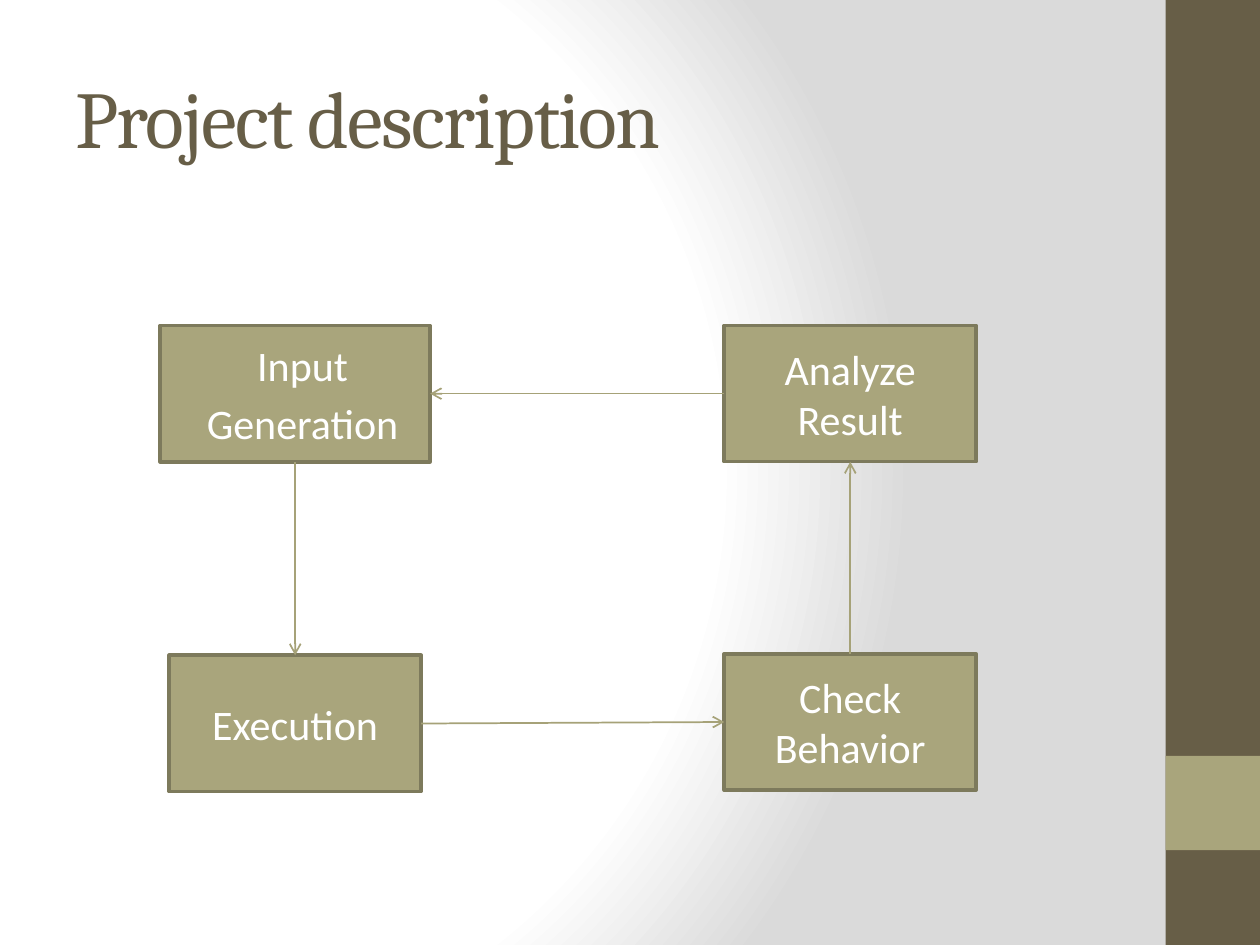
from lxml.etree import SubElement
from pptx import Presentation
from pptx.dml.color import RGBColor
from pptx.enum.shapes import MSO_CONNECTOR, MSO_SHAPE
from pptx.enum.text import MSO_ANCHOR, MSO_AUTO_SIZE, PP_ALIGN
from pptx.oxml import parse_xml
from pptx.oxml.ns import qn
from pptx.util import Cm, Pt

COLORS = {
    "brown": "675E47", "olive": "A9A57C", "border": "7D7A5C",
    "arrow": "A6A278", "white": "FFFFFF", "gray": "DADADA",
}
TOP, LEFT, BOTTOM, RIGHT = range(4)


def color(name):
    return RGBColor.from_string(COLORS[name])


def write(paragraph, text, size, font, color_name):
    run = paragraph.add_run()
    run.text = text
    run.font.size = Pt(size)
    run.font.name = font
    run.font.color.rgb = color(color_name)
    return run


prs = Presentation()
prs.slide_width, prs.slide_height = Cm(25.4), Cm(19.05)
slide = prs.slides.add_slide(prs.slide_layouts[1])
shapes = slide.shapes

# Background: circular gradient from white to gray
slide.background.fill.solid()
plain_fill = slide.element.find(".//" + qn("p:bgPr")).find(qn("a:solidFill"))
stops = "".join(
    f'<a:gs pos="{position * 1000}"><a:srgbClr val="{COLORS[name]}"/></a:gs>'
    for position, name in [(0, "white"), (75, "white"), (100, "gray")]
)
plain_fill.getparent().replace(plain_fill, parse_xml(
    '<a:gradFill xmlns:a="http://schemas.openxmlformats.org/drawingml/2006/main" rotWithShape="1">'
    f'<a:gsLst>{stops}</a:gsLst><a:path path="circle">'
    '<a:fillToRect l="20000" t="50000" r="100000" b="50000"/></a:path></a:gradFill>'
))

# Side band
for top, height, name in [(0, 19.05, "brown"), (15.24, 1.9, "olive")]:
    band = shapes.add_shape(MSO_SHAPE.RECTANGLE, Cm(23.5), Cm(top), Cm(1.9), Cm(height))
    band.shadow.inherit = False
    band.fill.solid()
    band.fill.fore_color.rgb = color(name)
    band.line.fill.background()

# Title
title = shapes.title
title.left, title.top, title.width, title.height = Cm(1.27), Cm(0.76), Cm(21.16), Cm(3.18)
title.text_frame.vertical_anchor = MSO_ANCHOR.MIDDLE
title.text_frame.auto_size = MSO_AUTO_SIZE.NONE
heading = title.text_frame.paragraphs[0]
heading.alignment = PP_ALIGN.LEFT
heading_run = write(heading, "Project description", 46, "Cambria", "brown")
heading_run.font._element.set("spc", "-100")

# Steps of the cycle; the first one is the body placeholder
input_step = slide.placeholders[1]
input_step.left, input_step.top, input_step.width, input_step.height = (
    Cm(3.23), Cm(6.56), Cm(5.44), Cm(2.75))
execution, check, analyze = [
    shapes.add_shape(MSO_SHAPE.RECTANGLE, Cm(left), Cm(top), Cm(5.08), Cm(2.75))
    for left, top in [(3.41, 13.21), (14.6, 13.18), (14.6, 6.56)]
]
for step in (execution, check, analyze):
    step.shadow.inherit = False

steps = [input_step, execution, check, analyze]
labels = [["Input", "Generation"], ["Execution"], ["Check Behavior"], ["Analyze Result"]]
for step, lines in zip(steps, labels):
    step.fill.solid()
    step.fill.fore_color.rgb = color("olive")
    step.line.color.rgb = color("border")
    step.line.width = Pt(2)
    frame = step.text_frame
    frame.word_wrap = True
    frame.auto_size = MSO_AUTO_SIZE.NONE
    frame.vertical_anchor = MSO_ANCHOR.MIDDLE
    for number, line in enumerate(lines):
        paragraph = frame.add_paragraph() if number else frame.paragraphs[0]
        paragraph.alignment = PP_ALIGN.CENTER
        write(paragraph, line, 24, "Calibri", "white")

# Placeholder text: no bullet, small indent
for paragraph in input_step.text_frame.paragraphs:
    paragraph.space_before = Pt(4.8)
    properties = paragraph._p.get_or_add_pPr()
    properties.set("marL", str(Cm(0.3)))
    properties.set("indent", "0")
    SubElement(properties, qn("a:buNone"))

# Arrows from each step to the next
exits = [(BOTTOM, TOP), (RIGHT, LEFT), (TOP, BOTTOM), (LEFT, RIGHT)]
for start, end, (exit_side, entry_side) in zip(steps, steps[1:] + steps[:1], exits):
    arrow = shapes.add_connector(MSO_CONNECTOR.STRAIGHT, 0, 0, 0, 0)
    arrow.begin_connect(start, exit_side)
    arrow.end_connect(end, entry_side)
    arrow.line.color.rgb = color("arrow")
    arrow.line.width = Pt(1)
    SubElement(arrow.line._get_or_add_ln(), qn("a:tailEnd"), type="arrow")
    SubElement(arrow._element.spPr, qn("a:effectLst"))

prs.save("out.pptx")
